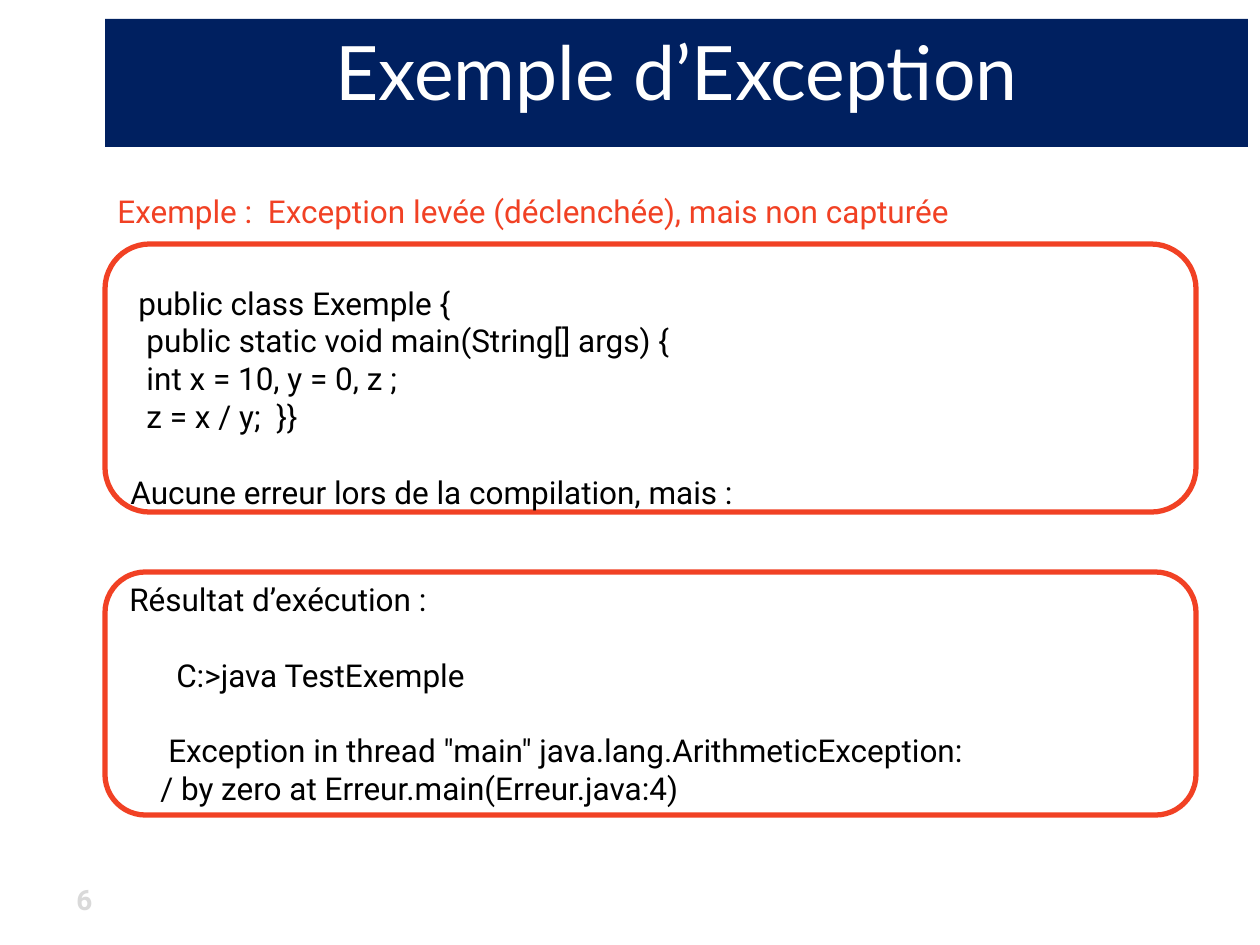
import pptx
import pptx.dml.color
import pptx.enum.shapes
import pptx.enum.text
import pptx.util

NAVY, RED, BLACK, WHITE, GREY = "002060", "F14124", "000000", "FFFFFF", "D9D9D9"
ANCHOR = pptx.enum.text.MSO_ANCHOR
ALIGN = pptx.enum.text.PP_ALIGN
LINE_GAP = 21.5  # points, one skipped line

TITLE = "Exemple d’Exception"
SUBTITLE = "Exemple :  Exception levée (déclenchée), mais non capturée"
PAGE = "6"

# Each line: text, indent in px, space before in points
BOXES = [
    {"at": (105, 244, 1091, 268), "top": 38, "lines": [
        ("public class Exemple {", 8, 0),
        ("public static void main(String[] args) {", 16, 0),
        ("int x = 10, y = 0, z ;", 16, 0),
        ("z = x / y;  }}", 16, 0),
        ("Aucune erreur lors de la compilation, mais :", 0, LINE_GAP),
    ]},
    {"at": (105, 572, 1091, 243), "top": 0, "lines": [
        ("Résultat d’exécution :", 0, 0),
        ("C:>java TestExemple", 47, LINE_GAP),
        ('Exception in thread "main" java.lang.ArithmeticException:', 39, LINE_GAP),
        ("/ by zero at Erreur.main(Erreur.java:4)", 31, 0),
    ]},
]


def px(n):
    return pptx.util.Emu(round(n * 914400 / 126))


def rgb(color):
    return pptx.dml.color.RGBColor.from_string(color)


def place(sp, at):
    sp.left, sp.top, sp.width, sp.height = map(px, at)


def write(p, text, size=18, font="Roboto", color=BLACK, bold=False,
          align=ALIGN.LEFT, indent=0, before=0):
    p.alignment = align
    p.space_before = pptx.util.Pt(before)
    if indent:
        p._p.get_or_add_pPr().set("marL", str(px(indent)))
    r = p.add_run()
    r.text = text
    r.font.size = pptx.util.Pt(size)
    r.font.name = font
    r.font.bold = bold
    r.font.color.rgb = rgb(color)


def frame(sp, anchor):
    tf = sp.text_frame
    tf.word_wrap = True
    tf.auto_size = pptx.enum.text.MSO_AUTO_SIZE.NONE
    tf.vertical_anchor = anchor
    return tf


def add_label(s, at, text, anchor=ANCHOR.TOP, **fmt):
    sp = s.shapes.add_textbox(*map(px, at))
    write(frame(sp, anchor).paragraphs[0], text, **fmt)


def add_box(s, at, top, lines):
    sp = s.shapes.add_shape(
        pptx.enum.shapes.MSO_SHAPE.ROUNDED_RECTANGLE, *map(px, at))
    sp.shadow.inherit = False
    sp.fill.solid()
    sp.fill.fore_color.rgb = rgb(WHITE)
    sp.line.color.rgb = rgb(RED)
    sp.line.width = pptx.util.Pt(3)
    tf = frame(sp, ANCHOR.MIDDLE)
    tf.margin_top, tf.margin_bottom = px(top), 0
    for i, (text, indent, before) in enumerate(lines):
        p = tf.add_paragraph() if i else tf.paragraphs[0]
        write(p, text, indent=indent, before=before)


def main():
    prs = pptx.Presentation()
    prs.slide_width, prs.slide_height = px(1260), px(945)
    s = prs.slides.add_slide(prs.slide_layouts[5])

    # Title band
    title = s.shapes.title
    place(title, (105, 19, 1143, 128))
    title.fill.solid()
    title.fill.fore_color.rgb = rgb(NAVY)
    write(frame(title, ANCHOR.TOP).paragraphs[0], TITLE, size=42.9,
          font="Lato", color=WHITE, align=ALIGN.CENTER)

    # Page number, code and output boxes, subtitle
    add_label(s, (64, 876, 466, 50), PAGE, size=16, color=GREY, bold=True)
    for box in BOXES:
        add_box(s, **box)
    add_label(s, (105, 147, 914, 89), SUBTITLE, anchor=ANCHOR.BOTTOM, color=RED)

    prs.save("out.pptx")


if __name__ == "__main__":
    main()
